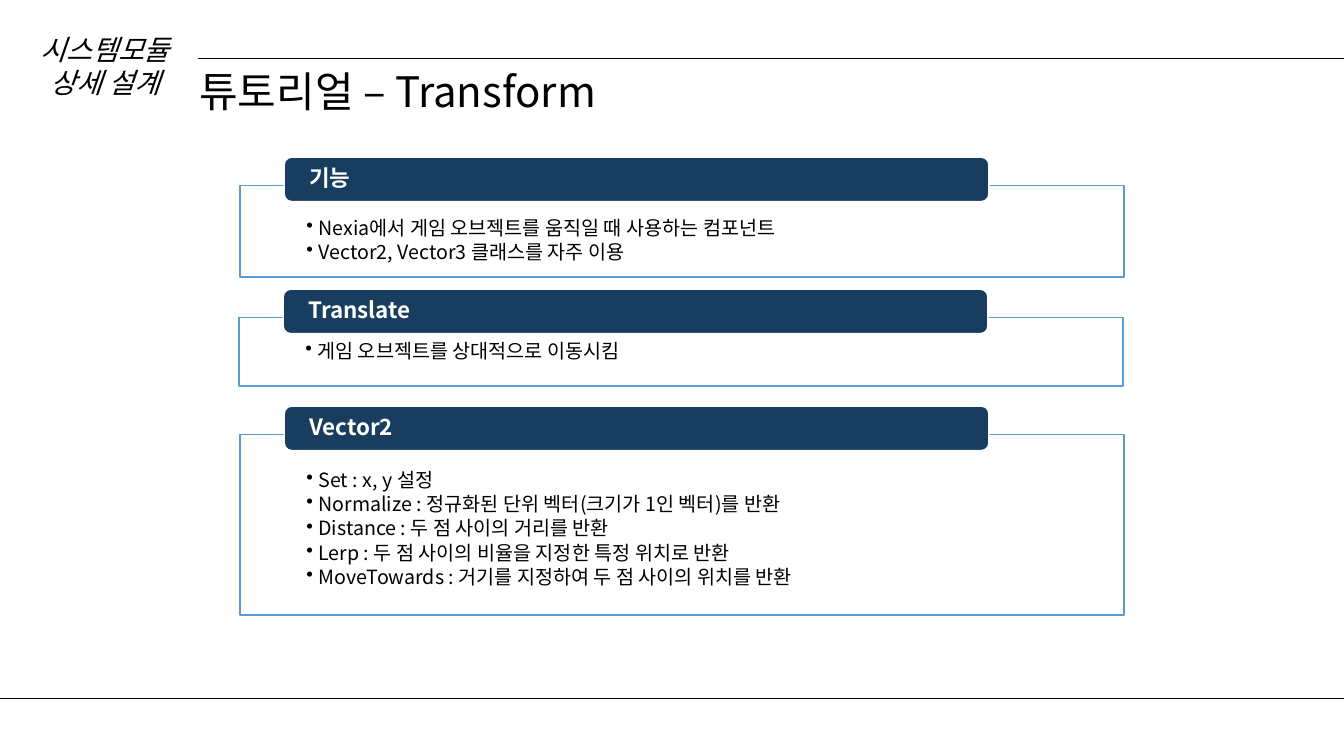
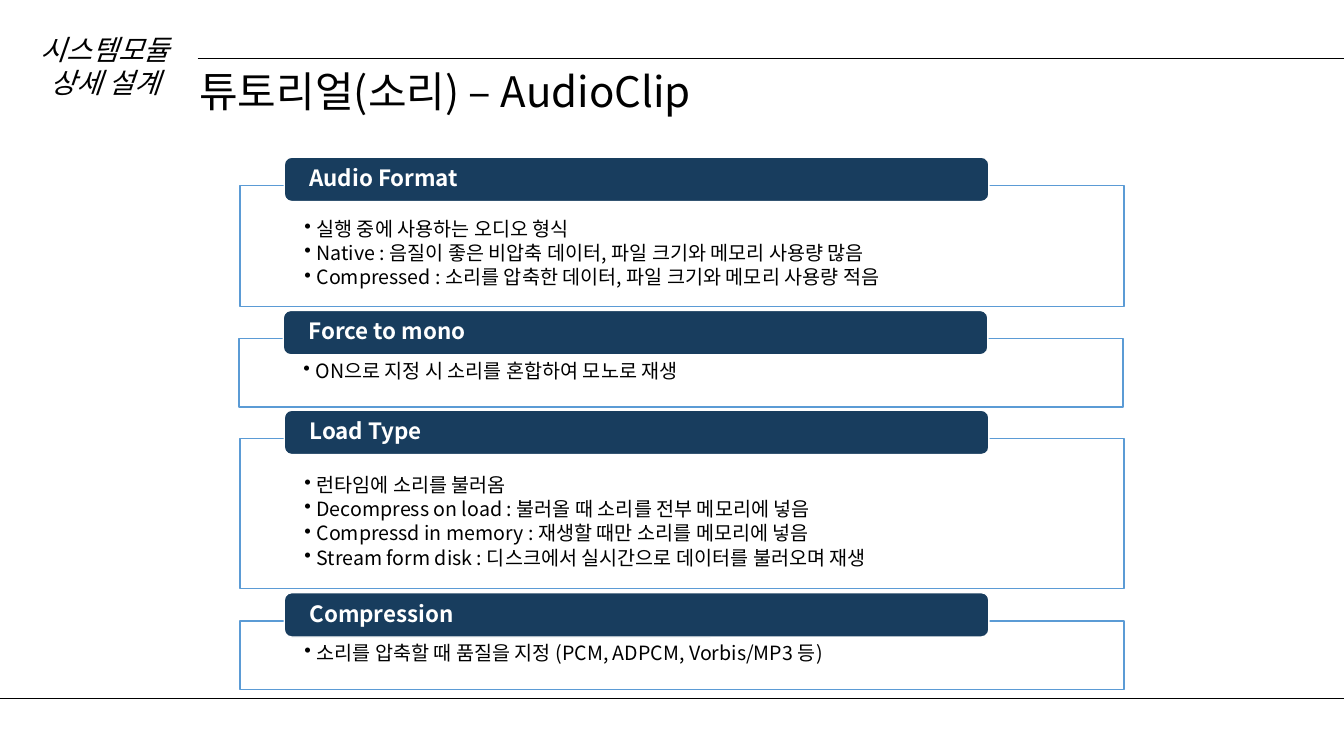
"""Build two tutorial slides made of titled, bulleted sections."""
from dataclasses import dataclass

from lxml import etree
from pptx import Presentation
from pptx import util as u
from pptx.dml.color import RGBColor
from pptx.enum import shapes, text
from pptx.oxml import ns

CELL = u.Inches(0.1)
COLUMNS, ROWS = 133.33, 75
FONT = "Noto Sans CJK KR"
BLACK = RGBColor(0x00, 0x00, 0x00)
WHITE = RGBColor(0xFF, 0xFF, 0xFF)
NAVY = RGBColor(0x18, 0x3D, 0x5E)
SKY = RGBColor(0x5B, 0x9B, 0xD5)

CHAPTER = "시스템모듈 상세 설계"
PANEL_LEFT, PANEL_WIDTH = 23.8, 87.7
BAR_INDENT, BAR_RISE = 4.4, 2.8
BAR_WIDTH, BAR_HEIGHT = 69.9, 4.4
BAR_MARGIN = 0.2
HANGING = 1.2


@dataclass
class Section:
    """One titled panel; lengths are grid cells."""
    name: str
    top: float
    height: float
    text_drop: float
    text_height: float
    points: list
    shift: float = 0


TRANSFORM = [
    Section("기능", 18.4, 9.1, 1, 8.3, [
        "Nexia에서 게임 오브젝트를 움직일 때 사용하는 컴포넌트",
        "Vector2, Vector3 클래스를 자주 이용",
    ]),
    Section("Translate", 31.5, 6.8, 0.7, 6.2, [
        "게임 오브젝트를 상대적으로 이동시킴",
    ], shift=-0.1),
    Section("Vector2", 43.1, 17.9, 1.3, 16.2, [
        "Set : x, y 설정",
        "Normalize : 정규화된 단위 벡터(크기가 1인 벡터)를 반환",
        "Distance : 두 점 사이의 거리를 반환",
        "Lerp : 두 점 사이의 비율을 지정한 특정 위치로 반환",
        "MoveTowards : 거기를 지정하여 두 점 사이의 위치를 반환",
    ]),
]

AUDIO_CLIP = [
    Section("Audio Format", 18.4, 12, 1.1, 9.9, [
        "실행 중에 사용하는 오디오 형식",
        "Native : 음질이 좋은 비압축 데이터, 파일 크기와 메모리 사용량 많음",
        "Compressed : 소리를 압축한 데이터, 파일 크기와 메모리 사용량 적음",
    ]),
    Section("Force to mono", 33.6, 6.8, 0.6, 5.6, [
        "ON으로 지정 시 소리를 혼합하여 모노로 재생",
    ], shift=-0.1),
    Section("Load Type", 43.5, 14.9, 1.4, 12.3, [
        "런타임에 소리를 불러옴",
        "Decompress on load : 불러올 때 소리를 전부 메모리에 넣음",
        "Compressd in memory : 재생할 때만 소리를 메모리에 넣음",
        "Stream form disk : 디스크에서 실시간으로 데이터를 불러오며 재생",
    ]),
    Section("Compression", 61.6, 6.8, 0.6, 5.6, [
        "소리를 압축할 때 품질을 지정 (PCM, ADPCM, Vorbis/MP3 등)",
    ]),
]


def cells(*counts):
    """Convert grid counts to lengths."""
    return [u.Emu(round(count * CELL)) for count in counts]


def add_child(parent, tag, **attributes):
    """Append a drawing element."""
    return etree.SubElement(parent, ns.qn(tag), attributes)


def add_rule(slide, left, row):
    """Draw a thin line from a column to the right edge."""
    rule = slide.shapes.add_connector(
        shapes.MSO_CONNECTOR.STRAIGHT, *cells(left, row, COLUMNS, row))
    rule.line.color.rgb = BLACK
    rule.line.width = u.Pt(0.5)
    add_child(rule._element.spPr, "a:effectLst")


def add_block(holder, area, kind, fill, outline):
    """Draw a filled, outlined shape."""
    block = holder.shapes.add_shape(kind, *cells(*area))
    block.shadow.inherit = False
    block.fill.solid()
    block.fill.fore_color.rgb = fill
    block.line.color.rgb = outline
    block.line.width = u.Pt(1)
    return block


def add_text(holder, area, margins=(1, 0.5, 1, 0.5)):
    """Add a wrapping text box and return its frame."""
    frame = holder.shapes.add_textbox(*cells(*area)).text_frame
    frame.word_wrap = True
    (frame.margin_left, frame.margin_top,
     frame.margin_right, frame.margin_bottom) = cells(*margins)
    return frame


def add_run(paragraph, words, size, color=BLACK, bold=False, italic=False):
    """Add one formatted run."""
    run = paragraph.add_run()
    run.text = words
    run.font.size = u.Pt(size)
    run.font.bold = bold
    run.font.italic = italic
    run.font.color.rgb = color
    run.font.name = FONT
    add_child(run._r.get_or_add_rPr(), "a:ea", typeface=FONT)


def space_lines(paragraph, after_percent):
    """Tighten lines and set the gap after as a share of the text."""
    paragraph.line_spacing = 0.9
    paragraph.space_after = u.Pt(0)
    gap = paragraph._p.get_or_add_pPr().find(ns.qn("a:spcAft"))
    gap.remove(gap[0])
    add_child(gap, "a:spcPct", val=str(after_percent * 1000))


def add_bullet(paragraph, words):
    """Fill a paragraph as a bulleted point."""
    paragraph.level = 1
    space_lines(paragraph, 15)
    properties = paragraph._p.get_or_add_pPr()
    hanging, = cells(HANGING)
    properties.set("marL", str(hanging))
    properties.set("indent", str(-hanging))
    add_child(properties, "a:buChar", char="•")
    add_run(paragraph, words, 14)


def add_panel(slide, section, text_shift):
    """Draw the framed panel and its points."""
    left = PANEL_LEFT + section.shift
    group = slide.shapes.add_group_shape()
    panel = add_block(group, (left, section.top, PANEL_WIDTH, section.height),
                      shapes.MSO_SHAPE.RECTANGLE, WHITE, SKY)
    tint = panel._element.spPr.find(ns.qn("a:solidFill"))[0]
    add_child(tint, "a:alpha", val="90000")
    frame = add_text(group, (left + text_shift, section.top + section.text_drop,
                             PANEL_WIDTH, section.text_height),
                     (6.8, 2.3, 6.8, 1.1))
    for index, point in enumerate(section.points):
        add_bullet(frame.add_paragraph() if index else frame.paragraphs[0], point)


def add_bar(slide, section):
    """Draw the heading bar over the panel's top edge."""
    left = PANEL_LEFT + section.shift + BAR_INDENT
    top = section.top - BAR_RISE
    group = slide.shapes.add_group_shape()
    add_block(group, (left, top, BAR_WIDTH, BAR_HEIGHT),
              shapes.MSO_SHAPE.ROUNDED_RECTANGLE, NAVY, WHITE)
    frame = add_text(group, (left + BAR_MARGIN, top + BAR_MARGIN,
                             BAR_WIDTH - 2 * BAR_MARGIN,
                             BAR_HEIGHT - 2 * BAR_MARGIN), (2.3, 0, 2.3, 0))
    frame.vertical_anchor = text.MSO_ANCHOR.MIDDLE
    heading = frame.paragraphs[0]
    space_lines(heading, 35)
    add_run(heading, section.name, 16, WHITE, bold=True)


def add_frame(slide, title):
    """Add the rules, title and chapter label every slide shares."""
    add_rule(slide, 19.6, 5.8)
    add_rule(slide, 0, 69.3)
    title_frame = add_text(slide, (18.8, 6, 104, 6.1))
    add_run(title_frame.paragraphs[0], title, 30)
    chapter_frame = add_text(slide, (2.1, 2.7, 16.7, 7.7))
    chapter_frame.paragraphs[0].alignment = text.PP_ALIGN.CENTER
    add_run(chapter_frame.paragraphs[0], CHAPTER, 20, italic=True)
    for frame in (title_frame, chapter_frame):
        frame.auto_size = text.MSO_AUTO_SIZE.SHAPE_TO_FIT_TEXT


def add_tutorial(deck, title, sections, text_shift):
    """Add one tutorial slide."""
    slide = deck.slides.add_slide(deck.slide_layouts[6])
    add_frame(slide, title)
    for section in sections:
        add_panel(slide, section, text_shift)
        add_bar(slide, section)


def main():
    """Build and save the deck."""
    deck = Presentation()
    deck.slide_width, deck.slide_height = cells(COLUMNS, ROWS)
    add_tutorial(deck, "튜토리얼 – Transform", TRANSFORM, -0.2)
    add_tutorial(deck, "튜토리얼(소리) – AudioClip", AUDIO_CLIP, -0.4)
    deck.save("out.pptx")


main()
